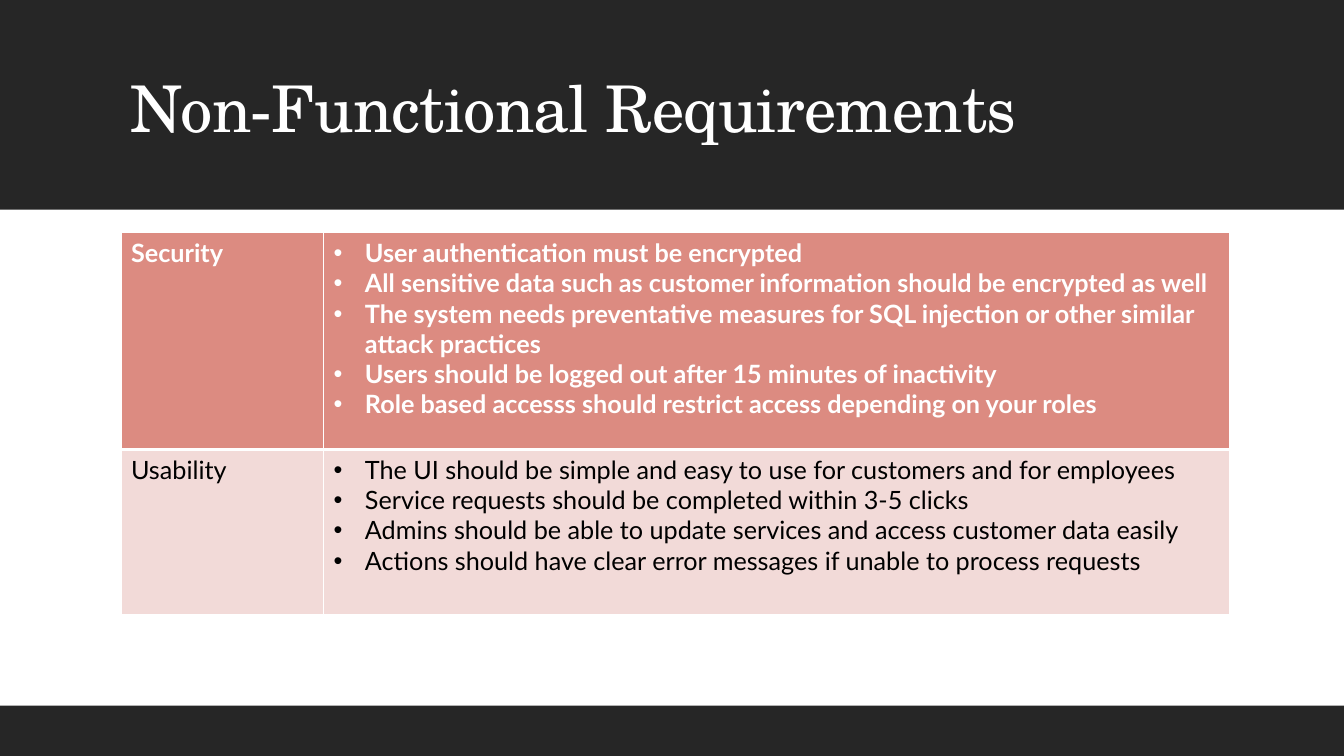
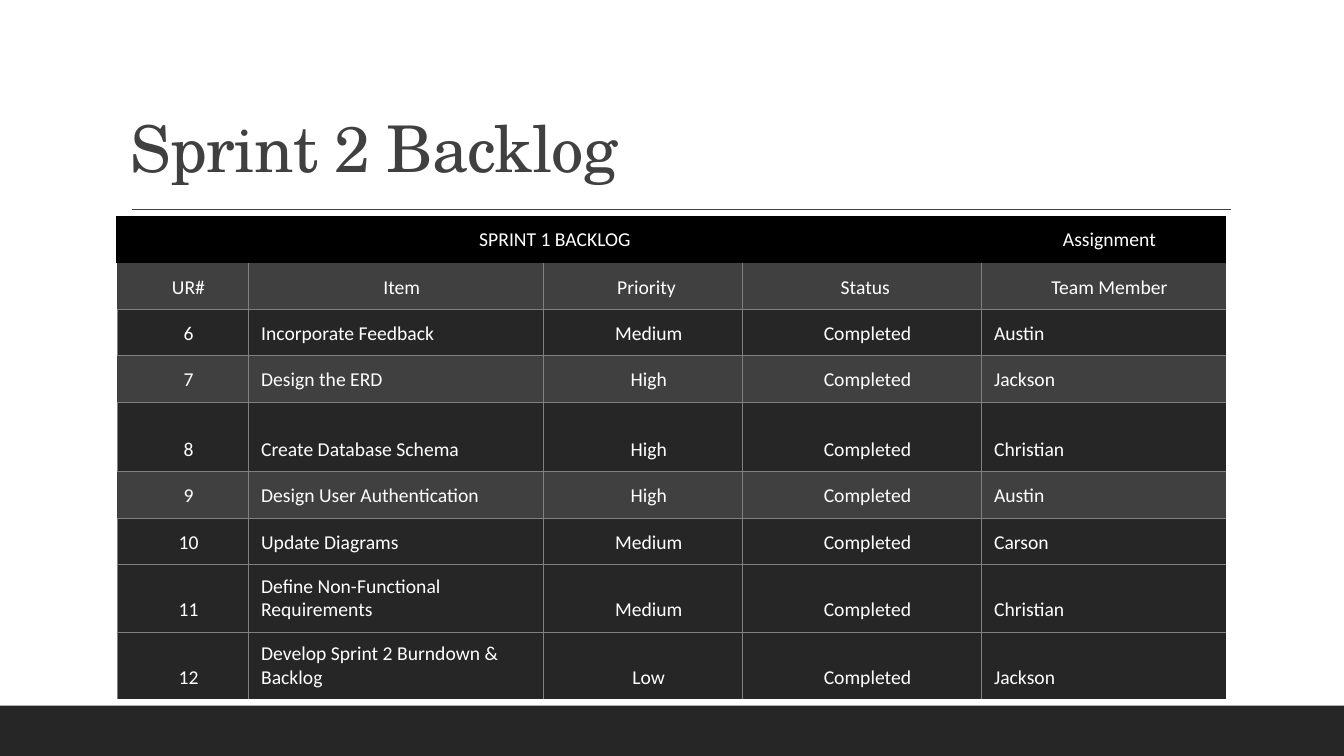
from dataclasses import dataclass

from lxml import etree
from pptx import Presentation, util as u
from pptx.dml.color import RGBColor
from pptx.enum import shapes, text
from pptx.oxml import ns

SCALE = 9144  # EMU per px, 100 px to the inch
NO_TABLE_STYLE = "{2D5ABB26-0587-4C30-8999-92F81FD0307C}"


@dataclass(frozen=True)
class Theme:
    white: str = "FFFFFF"
    black: str = "000000"
    dark: str = "262626"
    medium: str = "404040"
    grid: str = "808080"
    rose: str = "DC8B81"
    pale_rose: str = "F2DAD8"
    title_font: str = "TeX Gyre Schola"
    body_font: str = "Lato"
    backlog_font: str = "Calibri"
    title_size: int = 46
    body_size: int = 18
    backlog_size: int = 14


THEME = Theme()
WIDTH, HEIGHT = 1333, 750
TITLE_BAND, FOOTER = 208, 50
CENTER, LEFT = text.PP_ALIGN.CENTER, text.PP_ALIGN.LEFT
TOP, MIDDLE, BOTTOM = (text.MSO_ANCHOR.TOP, text.MSO_ANCHOR.MIDDLE,
                       text.MSO_ANCHOR.BOTTOM)

REQUIREMENTS = [
    ("Security", [
        "User authentication must be encrypted",
        "All sensitive data such as customer information should be encrypted as well",
        "The system needs preventative measures for SQL injection or other similar attack practices",
        "Users should be logged out after 15 minutes of inactivity",
        "Role based accesss should restrict access depending on your roles",
    ]),
    ("Usability", [
        "The UI should be simple and easy to use for customers and for employees",
        "Service requests should be completed within 3-5 clicks",
        "Admins should be able to update services and access customer data easily",
        "Actions should have clear error messages if unable to process requests",
    ]),
]

BACKLOG = [
    ("SPRINT 1 BACKLOG", "", "", "", "Assignment"),
    ("UR#", "Item", "Priority ", "Status ", "Team Member"),
    ("6", "Incorporate Feedback", "Medium", "Completed", "Austin"),
    ("7", "Design the ERD", "High", "Completed", "Jackson"),
    ("8", "Create Database Schema", "High", "Completed", "Christian"),
    ("9", "Design User Authentication", "High", "Completed", "Austin"),
    ("10", "Update Diagrams", "Medium", "Completed", "Carson"),
    ("11", "Define Non-Functional Requirements", "Medium", "Completed", "Christian"),
    ("12", "Develop Sprint 2 Burndown & Backlog", "Low", "Completed", "Jackson"),
]


def px(*lengths):
    return [u.Emu(length * SCALE) for length in lengths]


def rgb(color):
    return RGBColor.from_string(color)


def apply(target, values):
    for name, value in values.items():
        setattr(target, name, value)


def sub(parent, tag, **attributes):
    return etree.SubElement(parent, ns.qn(tag), attributes)


def add_run(paragraph, words, color, **font_values):
    run = paragraph.add_run()
    run.text = words
    apply(run.font, font_values)
    run.font.color.rgb = rgb(color)
    return run


def add_band(slide, top, height):
    band = slide.shapes.add_shape(shapes.MSO_SHAPE.RECTANGLE,
                                  *px(0, top, WIDTH, height))
    band.shadow.inherit = False
    band.fill.solid()
    band.fill.fore_color.rgb = rgb(THEME.dark)
    band.line.fill.background()


def add_rule(slide, left, right, y):
    rule = slide.shapes.add_connector(shapes.MSO_CONNECTOR.STRAIGHT,
                                      *px(left, y, right, y))
    rule.line.color.rgb = rgb(THEME.medium)
    rule.line.width = u.Pt(1)
    sub(rule._element.spPr, "a:effectLst")


def add_title(slide, words, color, anchor):
    frame = slide.shapes.add_textbox(*px(120, 31, 1100, 159)).text_frame
    apply(frame, {"word_wrap": True, "vertical_anchor": anchor})
    paragraph = frame.paragraphs[0]
    paragraph.line_spacing = 0.9
    run = add_run(paragraph, words, color, name=THEME.title_font,
                  size=u.Pt(THEME.title_size))
    run.font._element.set("spc", "-50")


def add_table(slide, left, top, columns, rows):
    """Add an unstyled table with the given column widths and row heights."""
    frame = slide.shapes.add_table(len(rows), len(columns),
                                   *px(left, top, sum(columns), sum(rows)))
    table = frame.table
    properties = table._tbl.tblPr
    properties.find(ns.qn("a:tableStyleId")).text = NO_TABLE_STYLE
    apply(table, {"first_row": False, "horz_banding": False})
    for column, width in zip(table.columns, px(*columns)):
        column.width = width
    for row, height in zip(table.rows, px(*rows)):
        row.height = height
    return table


def format_cell(cell, fill, borders):
    """Fill a cell and draw borders given as {side: (color, points)}."""
    properties = cell._tc.get_or_add_tcPr()
    for side in "LRTB":
        if side in borders:
            color, points = borders[side]
            line = sub(properties, f"a:ln{side}", w=str(u.Pt(points)))
            sub(sub(line, "a:solidFill"), "a:srgbClr", val=color)
    cell.fill.solid()
    cell.fill.fore_color.rgb = rgb(fill)


def add_bullet(paragraph):
    properties = paragraph._p.get_or_add_pPr()
    indent = px(31)[0]
    properties.set("marL", str(indent))
    properties.set("indent", str(-indent))
    sub(properties, "a:buFont", typeface="Arial")
    sub(properties, "a:buChar", char="•")


def write_cell(cell, lines, color, bulleted=False, align=LEFT, **font_values):
    frame = cell.text_frame
    for index, line in enumerate(lines):
        paragraph = frame.add_paragraph() if index else frame.paragraphs[0]
        paragraph.alignment = align
        if bulleted:
            add_bullet(paragraph)
        add_run(paragraph, line, color, **font_values)


def add_requirements_table(slide):
    table = add_table(slide, 120, 231, [201, 899], [215, 164])
    thin, thick = (THEME.white, 1), (THEME.white, 3)
    looks = [
        (THEME.rose, THEME.white, True, {"T": thin, "B": thick}),
        (THEME.pale_rose, THEME.black, False, {"T": thick, "B": thin}),
    ]
    for row, ((name, needs), look) in enumerate(zip(REQUIREMENTS, looks)):
        fill, color, bold, edges = look
        for column, lines in enumerate(([name], needs)):
            cell = table.cell(row, column)
            format_cell(cell, fill, {"L": thin, "R": thin, **edges})
            write_cell(cell, lines, color, bulleted=column == 1, bold=bold,
                       name=THEME.body_font, size=u.Pt(THEME.body_size))


def backlog_look(row, column):
    """Return the fill and borders of a backlog cell."""
    line, heavy = (THEME.grid, 0.5), (THEME.black, 1.5)
    if row == 0:
        return THEME.black, {side: heavy for side in ("LT" if column == 0 else "T")}
    lighter = row in (1, 3, 5)
    sides = "B" if lighter else "T"
    if column < 4:
        sides += "R"
    if column > 0 or not lighter:
        sides += "L"
    return THEME.medium if lighter else THEME.dark, {side: line for side in sides}


def add_backlog_table(slide):
    heights = [46] * 4 + [69] + [46] * 2 + [67] * 2
    table = add_table(slide, 116, 215, [130, 293, 197, 237, 243], heights)
    table.cell(0, 0).merge(table.cell(0, 3))
    margins = dict(zip(("margin_left", "margin_top", "margin_right", "margin_bottom"),
                       px(13, 10, 1, 10)))
    for row, values in enumerate(BACKLOG):
        for column, value in enumerate(values):
            cell = table.cell(row, column)
            format_cell(cell, *backlog_look(row, column))
            apply(cell, {**margins, "vertical_anchor": BOTTOM if row else MIDDLE})
            if not cell.is_spanned:
                align = LEFT if row > 1 and column in (1, 4) else CENTER
                write_cell(cell, [value], THEME.white, align=align,
                           name=THEME.backlog_font, size=u.Pt(THEME.backlog_size))


def add_slide(presentation):
    """Add a blank slide with the footer band."""
    slide = presentation.slides.add_slide(presentation.slide_layouts[6])
    add_band(slide, HEIGHT - FOOTER, FOOTER)
    return slide


def main():
    presentation = Presentation()
    width, height = px(WIDTH, HEIGHT)
    apply(presentation, {"slide_width": width, "slide_height": height})

    requirements = add_slide(presentation)
    add_band(requirements, 0, TITLE_BAND)
    add_title(requirements, "Non-Functional Requirements", THEME.white, MIDDLE)
    add_requirements_table(requirements)

    backlog = add_slide(presentation)
    add_title(backlog, "Sprint 2 Backlog", THEME.medium, BOTTOM)
    add_rule(backlog, 131, 1221, TITLE_BAND)
    add_backlog_table(backlog)

    presentation.save("out.pptx")


if __name__ == "__main__":
    main()
